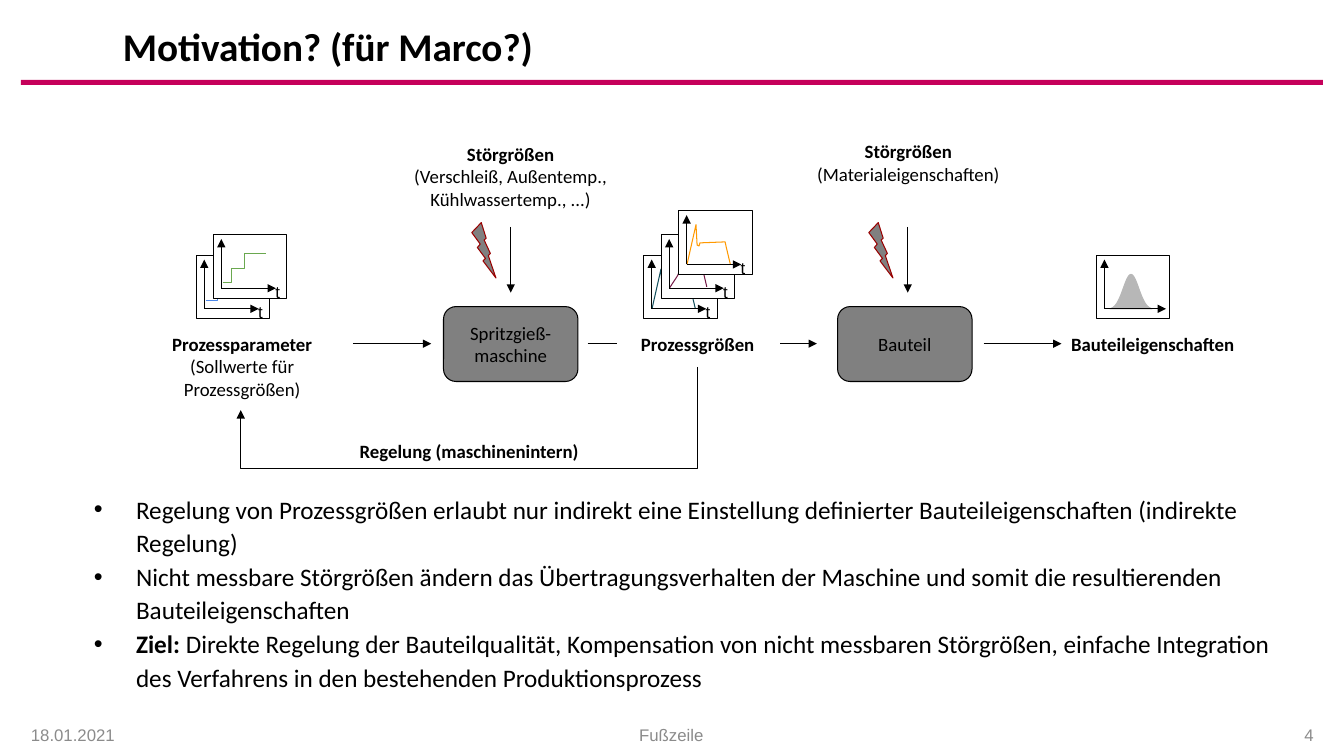
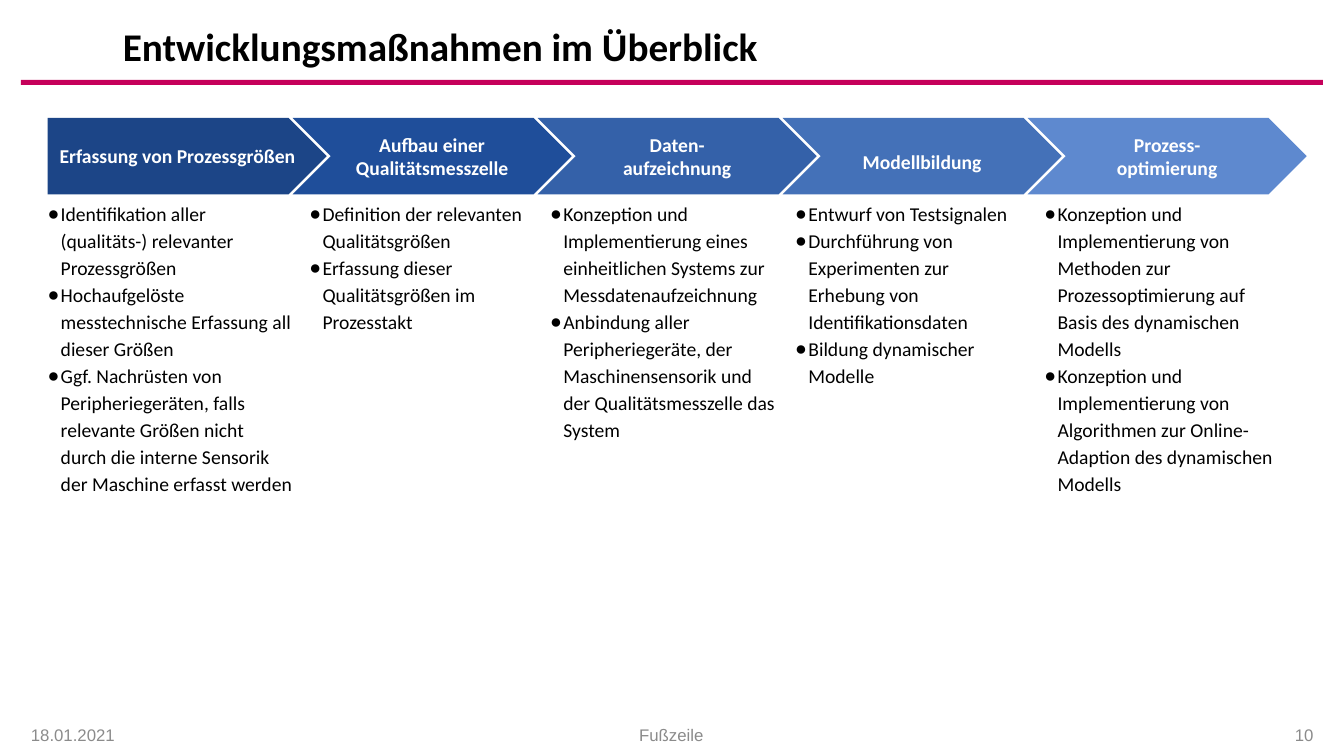
from math import exp

from lxml.etree import SubElement
from pptx import Presentation
from pptx.dml.color import RGBColor
from pptx.enum.shapes import MSO_CONNECTOR as Link, MSO_SHAPE as Preset
from pptx.enum.text import MSO_ANCHOR as Anchor, MSO_AUTO_SIZE as AutoSize, PP_ALIGN as Align
from pptx.oxml.ns import qn
from pptx.util import Pt

BLACK = RGBColor(0x00, 0x00, 0x00)
WHITE = RGBColor(0xFF, 0xFF, 0xFF)
MAGENTA = RGBColor(0xC5, 0x00, 0x5A)
FOOTER_GRAY = RGBColor(0x8B, 0x8B, 0x8B)
STATION_GRAY = RGBColor(0x80, 0x80, 0x80)
BELL_GRAY = RGBColor(0xB7, 0xB7, 0xB7)
DARK_RED = RGBColor(0x99, 0x00, 0x00)
BLUE = RGBColor(0x4A, 0x86, 0xE8)
GREEN = RGBColor(0x6A, 0xA8, 0x4F)
TEAL = RGBColor(0x13, 0x4F, 0x5C)
PLUM = RGBColor(0x74, 0x1B, 0x47)
ORANGE = RGBColor(0xFF, 0x99, 0x00)
PHASE_BLUES = [RGBColor(0x1C, 0x45, 0x87), RGBColor(0x1F, 0x4E, 0x9A), RGBColor(0x34, 0x61, 0xA9),
               RGBColor(0x44, 0x71, 0xB8), RGBColor(0x5E, 0x89, 0xCF)]

LOW_STEPS = [(6.5, 32.4), (15, 32.4), (15, 23.8), (27.4, 23.8), (27.4, 15.8), (39.6, 15.8)]
HIGH_STEPS = [(6.5, 34.6), (13, 34.6), (13, 24.5), (22.3, 24.5), (22.3, 13.7), (37.4, 13.7)]
PRESSURE = [(5.8, 38.2), (12.2, 10), (13, 24.5), (14.4, 25.2), (15, 23), (33, 22.3),
            (33.8, 26), (36.7, 38.2)]
STROKE = [(5.8, 38.2), (11.5, 29.5), (13, 26), (18, 18), (20.2, 15), (21, 11.5), (24.5, 7.2),
          (26.6, 6.5), (28, 14.4), (28, 19.4), (30.2, 28), (32.4, 37.4)]
BELL = [(24.5 + x, 39 - 25.2 * exp(-(x / 5.5) ** 2 / 2)) for x in range(-15, 16)]

PHASES = [
    ("Erfassung von Prozessgrößen", 34, 175, [
        "Identifikation aller (qualitäts-) relevanter Prozessgrößen",
        "Hochaufgelöste messtechnische Erfassung all dieser Größen",
        "Ggf. Nachrüsten von Peripheriegeräten, falls relevante Größen nicht durch die "
        "interne Sensorik der Maschine erfasst werden"]),
    ("Aufbau einer Qualitätsmesszelle", 221, 160, [
        "Definition der relevanten Qualitätsgrößen",
        "Erfassung dieser Qualitätsgrößen im Prozesstakt"]),
    ("Daten-\vaufzeichnung", 393, 163, [
        "Konzeption und Implementierung eines einheitlichen Systems zur Messdatenaufzeichnung",
        "Anbindung aller Peripheriegeräte, der Maschinensensorik und der "
        "Qualitätsmesszelle das System"]),
    ("Modellbildung", 568, 166, [
        "Entwurf von Testsignalen",
        "Durchführung von Experimenten zur Erhebung von Identifikationsdaten",
        "Bildung dynamischer Modelle"]),
    ("Prozess-\voptimierung", 746, 166, [
        "Konzeption und Implementierung von Methoden zur Prozessoptimierung auf Basis "
        "des dynamischen Modells",
        "Konzeption und Implementierung von Algorithmen zur Online-\vAdaption des "
        "dynamischen Modells"]),
]


class Deck:
    def __init__(self):
        self.presentation = Presentation()
        self.presentation.slide_width = Pt(960)
        self.presentation.slide_height = Pt(540)
        self.slide = None

    def add_slide(self, heading, number):
        self.slide = self.presentation.slides.add_slide(self.presentation.slide_layouts[5])
        title = self.slide.shapes.title
        title.left, title.top, title.width, title.height = Pt(80.6), Pt(15), Pt(798), Pt(39.6)
        self.fill_text(title, [heading], 28, bold=True, anchor=Anchor.MIDDLE,
                       spacing=0.9, insets=(7.2, 3.6, 7.2, 3.6))
        self.shape(Preset.RECTANGLE, 15, 57, 930, 3.6, MAGENTA)
        for text, x, width, align in [("18.01.2021", 15, 153.4, Align.LEFT),
                                      ("Fußzeile", 173.5, 612, Align.CENTER),
                                      (number, 792, 153.4, Align.RIGHT)]:
            self.text(x, 511, width, 28, [text], 12, color=FOOTER_GRAY, font="Arial",
                      align=align, anchor=Anchor.MIDDLE, insets=(7.2, 3.6, 7.2, 3.6))

    def style_run(self, run, size, color=BLACK, bold=False, font="Calibri"):
        run.font.size, run.font.name, run.font.bold = Pt(size), font, bold
        run.font.color.rgb = color

    def fill_text(self, shape, lines, size, color=BLACK, bold=False, font="Calibri",
                  align=Align.LEFT, anchor=Anchor.TOP, spacing=None, insets=(9.4,) * 4):
        frame = shape.text_frame
        frame.text = "\n".join(lines)
        frame.word_wrap = True
        frame.auto_size = AutoSize.NONE
        frame.vertical_anchor = anchor
        (frame.margin_left, frame.margin_top,
         frame.margin_right, frame.margin_bottom) = map(Pt, insets)
        for paragraph in frame.paragraphs:
            paragraph.alignment = align
            paragraph.line_spacing = spacing
            for run in paragraph.runs:
                self.style_run(run, size, color, bold, font)
        return frame

    def text(self, x, y, width, height, lines, size, **style):
        box = self.slide.shapes.add_textbox(Pt(x), Pt(y), Pt(width), Pt(height))
        return self.fill_text(box, lines, size, **style)

    def bullets(self, x, y, width, height, lines, size, symbol, indent, hanging, **style):
        frame = self.text(x, y, width, height, lines, size, **style)
        for paragraph in frame.paragraphs:
            properties = paragraph._p.get_or_add_pPr()
            properties.set("marL", str(Pt(indent)))
            properties.set("indent", str(-Pt(hanging)))
            SubElement(SubElement(properties, qn("a:buClr")), qn("a:srgbClr")).set("val", str(BLACK))
            SubElement(properties, qn("a:buFont")).set("typeface", "Arial")
            SubElement(properties, qn("a:buChar")).set("char", symbol)
        return frame

    def label(self, x, y, width, height, *lines):
        frame = self.text(x, y, width, height, lines, 13.4, align=Align.CENTER)
        frame.paragraphs[0].runs[0].font.bold = True

    def paint(self, shape, fill, line):
        shape.shadow.inherit = False
        if fill is None:
            shape.fill.background()
        else:
            shape.fill.solid()
            shape.fill.fore_color.rgb = fill
        if line is None:
            shape.line.fill.background()
        else:
            shape.line.color.rgb = line
            shape.line.width = Pt(0.75)
        return shape

    def shape(self, preset, x, y, width, height, fill, line=None):
        shape = self.slide.shapes.add_shape(preset, Pt(x), Pt(y), Pt(width), Pt(height))
        return self.paint(shape, fill, line)

    def curve(self, x, y, points, line, fill=None):
        start, *rest = [(Pt(x + dx), Pt(y + dy)) for dx, dy in points]
        builder = self.slide.shapes.build_freeform(*start)
        builder.add_line_segments(rest, close=fill is not None)
        self.paint(builder.convert_to_shape(), fill, line)

    def connect(self, x1, y1, x2, y2, arrow=True, kind=Link.STRAIGHT):
        connector = self.slide.shapes.add_connector(kind, Pt(x1), Pt(y1), Pt(x2), Pt(y2))
        connector.line.color.rgb = BLACK
        connector.line.width = Pt(0.75)
        properties = connector.element.spPr
        if arrow:
            SubElement(properties.find(qn("a:ln")), qn("a:tailEnd")).set("type", "triangle")
        SubElement(properties, qn("a:effectLst"))
        return connector

    def feedback(self, x1, y1, x2, y2, bottom):
        drop, span = y2 - y1, x1 - x2
        left, top = (x1 + x2 - drop) / 2, (y1 + y2 - span) / 2
        loop = self.connect(left, top, left + drop, top + span, kind=Link.ELBOW)
        properties = loop.element.spPr
        properties.find(qn("a:xfrm")).set("rot", "5400000")
        bend = SubElement(properties.find(qn("a:prstGeom")).find(qn("a:avLst")), qn("a:gd"))
        bend.set("name", "adj1")
        bend.set("fmla", f"val {round((bottom - y1) / drop * 100000)}")

    def mini_chart(self, x, y, points, line, fill=None, axis=39, variable="t"):
        self.shape(Preset.RECTANGLE, x, y, 52.2, 45.6, WHITE, BLACK)
        self.curve(x, y, points, line, fill)
        self.connect(x + 5.5, y + 38.4, x + 5.5, y + 3.2)
        self.connect(x + 5.5, y + 38.4, x + 5.5 + axis, y + 38.4)
        if variable:
            self.text(x + 40.7, y + 33.5, 10, 14, [variable], 12, font="Arial",
                      align=Align.CENTER, insets=(0,) * 4)

    def station(self, x, name):
        box = self.shape(Preset.ROUNDED_RECTANGLE, x, 219, 96, 53.5, STATION_GRAY, BLACK)
        self.fill_text(box, [name], 13.4, align=Align.CENTER, anchor=Anchor.MIDDLE)

    def disturbance(self, x):
        self.shape(Preset.LIGHTNING_BOLT, x, 159, 17.3, 39.6, STATION_GRAY, DARK_RED)
        self.connect(x + 27.8, 162, x + 27.8, 209)


def motivation(deck):
    deck.add_slide("Motivation? (für Marco?)", "4")
    deck.station(316.8, "Spritzgieß-\vmaschine")
    deck.station(598.3, "Bauteil")
    for x, y, points, color in [(140.4, 182.2, LOW_STEPS, BLUE), (152.6, 167.5, HIGH_STEPS, GREEN),
                                (460, 182.2, PRESSURE, TEAL), (472.5, 167.5, STROKE, PLUM),
                                (485, 150.5, PRESSURE, ORANGE)]:
        deck.mini_chart(x, y, points, color)
    deck.mini_chart(783.4, 182.2, BELL, BELL_GRAY, fill=BELL_GRAY, axis=44, variable="")
    for start, end, arrow in [(252, 308, True), (419.8, 440.6, False),
                              (557.3, 583.5, True), (702.7, 758.2, True)]:
        deck.connect(start, 245.5, end, 245.5, arrow)
    deck.disturbance(337)
    deck.disturbance(620.6)
    deck.feedback(498.2, 262, 172, 293, 334.8)
    deck.label(93, 228.2, 160, 65, "Prozessparameter", "(Sollwerte für Prozessgrößen)")
    deck.label(435, 228.2, 126.7, 34, "Prozessgrößen")
    deck.label(752.4, 228.2, 142, 34, "Bauteileigenschaften")
    deck.label(264.2, 92.2, 201, 68, "Störgrößen", "(Verschleiß, Außentemp., Kühlwassertemp., ...)")
    deck.label(563.8, 90.7, 170, 49, "Störgrößen", "(Materialeigenschaften)")
    deck.label(233.3, 304.6, 203.8, 34, "Regelung (maschinenintern)")
    findings = deck.bullets(43.2, 341, 873.4, 167, [
        "Regelung von Prozessgrößen erlaubt nur indirekt eine Einstellung definierter "
        "Bauteileigenschaften (indirekte Regelung)",
        "Nicht messbare Störgrößen ändern das Übertragungsverhalten der Maschine und somit "
        "die resultierenden Bauteileigenschaften",
        "Ziel: "], 18, "•", 44.6, 30.2, spacing=Pt(24))
    goal = findings.paragraphs[-1]
    goal.runs[0].font.bold = True
    goal_detail = goal.add_run()
    goal_detail.text = ("Direkte Regelung der Bauteilqualität, Kompensation von nicht messbaren "
                        "Störgrößen, einfache Integration des Verfahrens in den bestehenden "
                        "Produktionsprozess")
    deck.style_run(goal_detail, 18)


def development(deck):
    deck.add_slide("Entwicklungsmaßnahmen im Überblick", "10")
    for index, (name, left, width, measures) in enumerate(PHASES):
        first = index == 0
        phase = deck.shape(Preset.PENTAGON if first else Preset.CHEVRON,
                           34 + 175 * index, 84.2, 199.4, 54.7, PHASE_BLUES[index])
        side = 7.2 if first else 0
        top = 14.4 if name == "Modellbildung" else 7.2
        deck.fill_text(phase, [name], 14, color=WHITE, bold=True, align=Align.CENTER,
                       anchor=Anchor.MIDDLE, insets=(side, top, side, 7.2))
        deck.bullets(left, 134.6, width, 230, measures, 14, "●", 9.4, 9.4,
                     spacing=1.15, insets=(0, 7.2, 0, 7.2))


def main():
    deck = Deck()
    motivation(deck)
    development(deck)
    deck.presentation.save("out.pptx")


if __name__ == "__main__":
    main()
